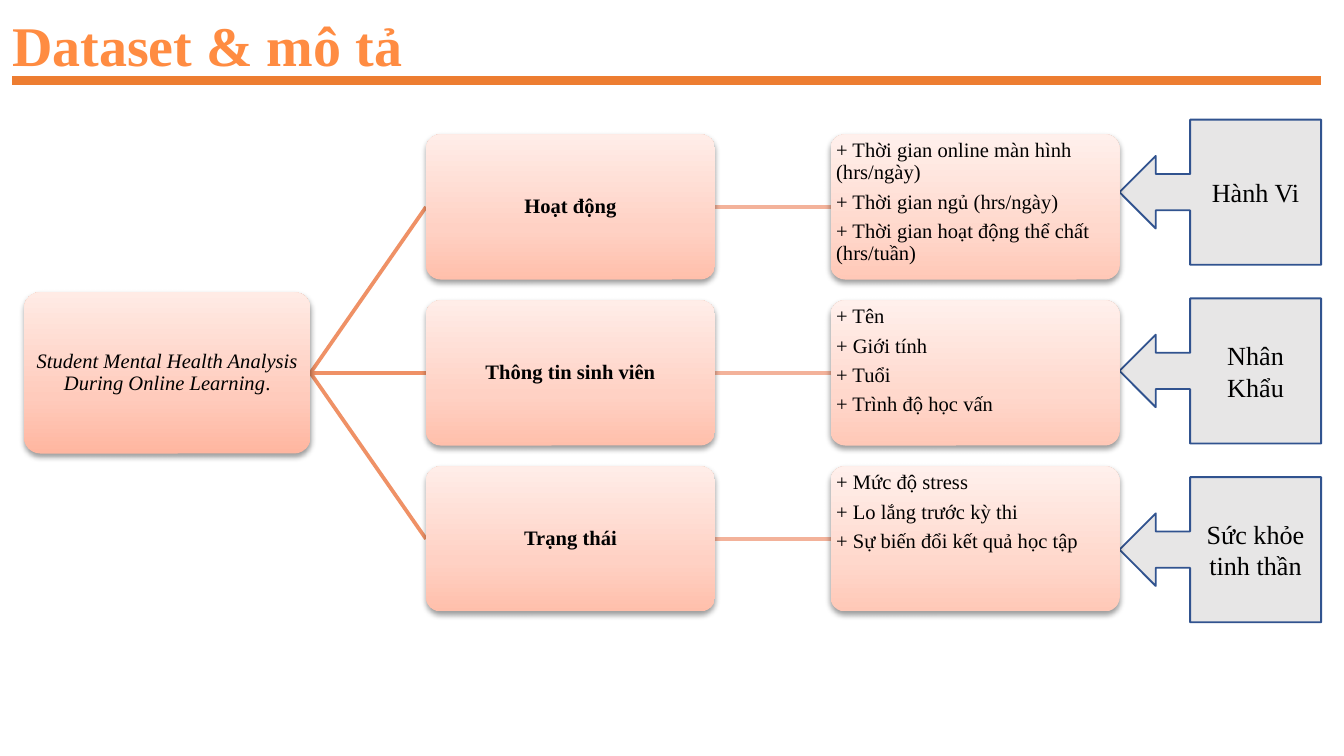
import lxml.etree
import pptx
import pptx.dml.color
import pptx.enum.shapes
import pptx.enum.text
import pptx.oxml.ns
import pptx.util

RGB = pptx.dml.color.RGBColor
Inches = pptx.util.Inches
Pt = pptx.util.Pt
SHAPE = pptx.enum.shapes.MSO_SHAPE
ALIGN = pptx.enum.text.PP_ALIGN
ANCHOR = pptx.enum.text.MSO_ANCHOR
qn = pptx.oxml.ns.qn

FONT = "Times New Roman"
BLACK = RGB(0x00, 0x00, 0x00)
ORANGE = RGB(0xFF, 0x8C, 0x42)
RULE = RGB(0xED, 0x7D, 0x31)
GRAY = RGB(0xE7, 0xE6, 0xE6)
BLUE = RGB(0x31, 0x53, 0x8F)
BRANCH = RGB(0xEF, 0x91, 0x66)
TWIG = RGB(0xF3, 0xB2, 0x9A)
ROOT_TONES = (RGB(0xFF, 0xB6, 0xA0), RGB(0xFF, 0xCB, 0xBC), RGB(0xFF, 0xEB, 0xE5))
GROUP_TONES = (RGB(0xFF, 0xBF, 0xAB), RGB(0xFF, 0xD1, 0xC4), RGB(0xFF, 0xED, 0xE8))
LIST_TONES = (RGB(0xFF, 0xC8, 0xB7), RGB(0xFF, 0xD8, 0xCC), RGB(0xFF, 0xF0, 0xEC))

GROUPS = (
    ("Hoạt động", "Hành Vi", (
        "+ Thời gian online màn hình (hrs/ngày)",
        "+ Thời gian ngủ (hrs/ngày)",
        "+ Thời gian hoạt động thể chất (hrs/tuần)")),
    ("Thông tin sinh viên", "Nhân Khẩu", (
        "+ Tên", "+ Giới tính", "+ Tuổi", "+ Trình độ học vấn")),
    ("Trạng thái", "Sức khỏe tinh thần", (
        "+ Mức độ stress", "+ Lo lắng trước kỳ thi",
        "+ Sự biến đổi kết quả học tập")),
)


def style(run, size, color=BLACK, bold=False, slant=False):
    """Format one run."""
    font = run.font
    font.name, font.size = FONT, Pt(size)
    font.bold, font.italic = bold, slant
    font.color.rgb = color


def inset(frame, wide, high):
    """Set the margins of a text frame and let it wrap."""
    frame.word_wrap = True
    frame.margin_left = frame.margin_right = Inches(wide)
    frame.margin_top = frame.margin_bottom = Inches(high)


def link(slide, start, end, color, width):
    """Draw a plain straight line between two points."""
    line = slide.shapes.add_connector(
        pptx.enum.shapes.MSO_CONNECTOR.STRAIGHT,
        *[Inches(n) for n in start + end])
    line.line.color.rgb = color
    line.line.width = Pt(width)
    lxml.etree.SubElement(line._element.spPr, qn("a:effectLst"))


def shade(shape, tones):
    """Fill a shape with a rising three-tone gradient."""
    shape.fill.gradient()
    shape.fill.gradient_angle = 90
    stops = shape._element.spPr.find(".//" + qn("a:gsLst"))
    for stop in list(stops):
        stops.remove(stop)
    for place, tone in zip((0, 35, 100), tones):
        stop = lxml.etree.SubElement(stops, qn("a:gs"), pos=str(place * 1000))
        lxml.etree.SubElement(stop, qn("a:srgbClr"), val=str(tone))


def drop(shape):
    """Give a shape a soft shadow below it."""
    shape.shadow.inherit = False
    effects = shape._element.spPr.find(qn("a:effectLst"))
    outer = lxml.etree.SubElement(
        effects, qn("a:outerShdw"), blurRad=str(Pt(3.1)), dist=str(Pt(1.6)),
        dir="5400000", algn="ctr", rotWithShape="0")
    color = lxml.etree.SubElement(outer, qn("a:srgbClr"), val=str(BLACK))
    lxml.etree.SubElement(color, qn("a:alpha"), val="38000")


def card(slide, box, tones, lines, bold=False, slant=False, listed=False):
    """Place a rounded card with its text and return its shape."""
    shape = slide.shapes.add_shape(
        SHAPE.ROUNDED_RECTANGLE, *[Inches(n) for n in box])
    shape.adjustments[0] = 0.1
    shade(shape, tones)
    shape.line.fill.background()
    drop(shape)
    frame = shape.text_frame
    inset(frame, 0.01, 0.01)
    frame.vertical_anchor = ANCHOR.TOP if listed else ANCHOR.MIDDLE
    frame.text = "\n".join(lines)
    for para in frame.paragraphs:
        para.alignment = ALIGN.LEFT if listed else ALIGN.CENTER
        para.line_spacing = 0.9
        para.space_after = Pt(3.85)
        style(para.runs[0], 11, bold=bold, slant=slant)
    return shape


def header(slide, box):
    """Place the title and the rule below it."""
    left, top, width, height = box
    title = slide.shapes.title
    title.left, title.top = Inches(left), Inches(top)
    title.width, title.height = Inches(width), Inches(height)
    frame = title.text_frame
    frame.text = "Dataset & mô tả"
    inset(frame, 0, 0)
    frame.auto_size = pptx.enum.text.MSO_AUTO_SIZE.NONE
    frame.vertical_anchor = ANCHOR.TOP
    para = frame.paragraphs[0]
    para.alignment = ALIGN.LEFT
    para.line_spacing = 0.81
    style(para.runs[0], 30, ORANGE, bold=True)
    below = top + height + 0.1
    link(slide, (left, below), (left + 9.74, below), RULE, 4.5)


def labels(slide, box, step):
    """Place the column of arrow callouts."""
    left, top, width, height = box
    for row, (_, label, _) in enumerate(GROUPS):
        shape = slide.shapes.add_shape(
            SHAPE.LEFT_ARROW_CALLOUT, Inches(left), Inches(top + row * step),
            Inches(width), Inches(height))
        shape.shadow.inherit = False
        shape.fill.solid()
        shape.fill.fore_color.rgb = GRAY
        shape.line.color.rgb = BLUE
        shape.line.width = Pt(1)
        frame = shape.text_frame
        inset(frame, 0.1, 0.05)
        frame.vertical_anchor = ANCHOR.MIDDLE
        frame.text = label
        frame.paragraphs[0].alignment = ALIGN.CENTER
        style(frame.paragraphs[0].runs[0], 14)


def tree(slide, box):
    """Place the root card, the group cards and their lists."""
    left, top, width, height = box
    wide, high, gap = 2.15, 1.08, 0.86
    step = (height - high) / 2
    mid = top + height / 2
    last = left + width - wide
    group = last - gap - wide
    root = group - gap
    for row, (name, _, items) in enumerate(GROUPS):
        line = top + row * step
        level = line + high / 2
        link(slide, (root, mid), (group, level), BRANCH, 2)
        link(slide, (group + wide, level), (last, level), TWIG, 2)
        card(slide, (group, line, wide, high), GROUP_TONES, [name], bold=True)
        card(slide, (last, line, wide, high), LIST_TONES, items, listed=True)
    shape = card(slide, (left, mid - 0.6, root - left, 1.2), ROOT_TONES,
                 ["Student Mental Health Analysis During Online Learning"],
                 slant=True)
    stop = shape.text_frame.paragraphs[0].add_run()
    stop.text = "."
    style(stop, 11)


def main():
    """Build and save the slide."""
    deck = pptx.Presentation()
    deck.slide_width, deck.slide_height = Inches(10), Inches(10 * 9 / 16)
    slide = deck.slides.add_slide(deck.slide_layouts[5])
    header(slide, (0.09, 0.17, 9.91, 0.33))
    labels(slide, (8.33, 0.89, 1.5, 1.08), 1.33)
    tree(slide, (0.18, 1, 8.15, 3.55))
    deck.save("out.pptx")


if __name__ == "__main__":
    main()
